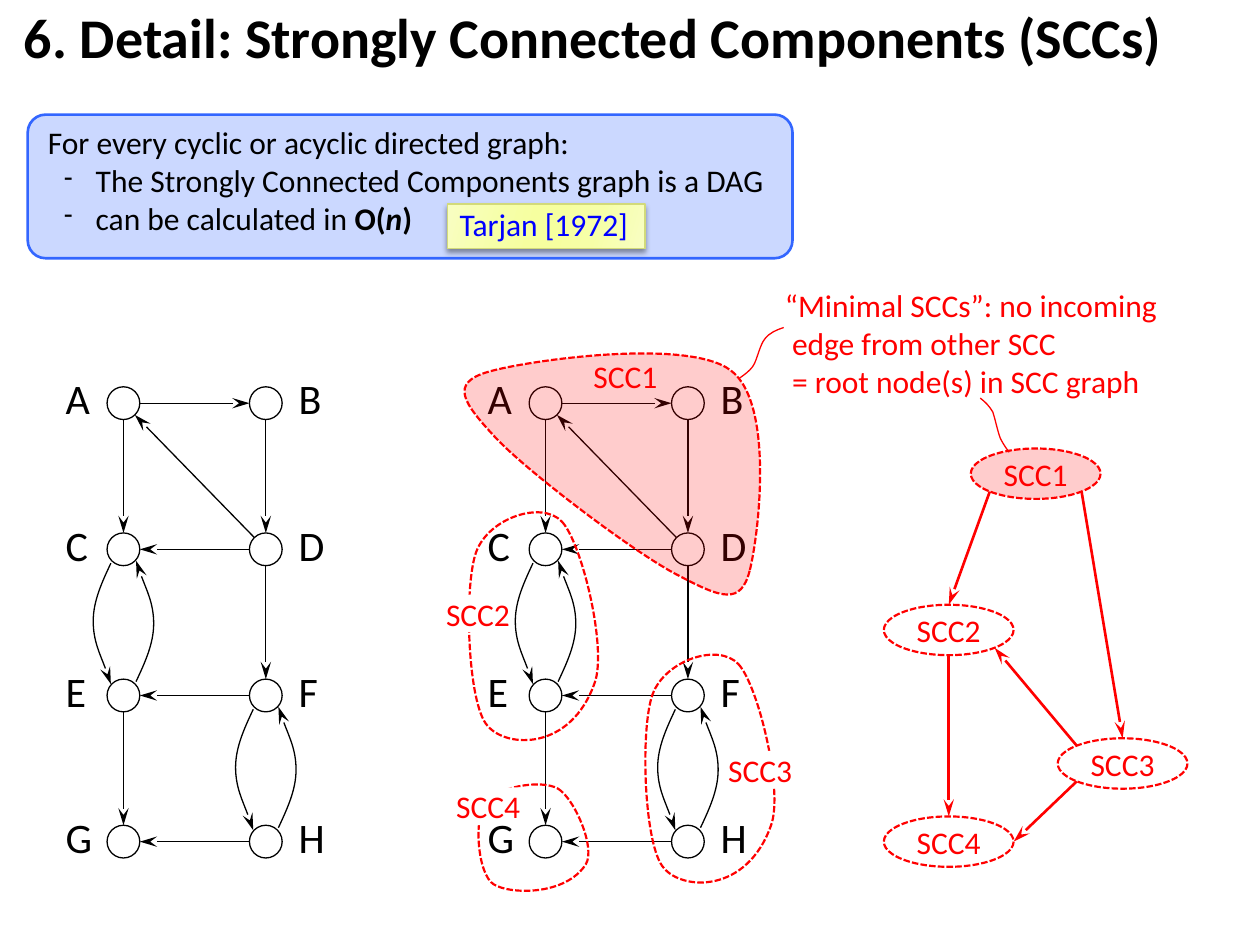
from dataclasses import dataclass
from itertools import product
from math import cos, hypot, radians, sin

from lxml import etree
from pptx import Presentation
from pptx.dml.color import RGBColor
from pptx.enum import dml, shapes, text
from pptx.oxml import ns
from pptx.util import Inches, Pt

BLACK = RGBColor(0, 0, 0)
WHITE = RGBColor(255, 255, 255)
RED = RGBColor(255, 0, 0)
BLUE = RGBColor(0x33, 0x66, 0xFF)
LINK = RGBColor(0, 0, 255)
OLIVE = RGBColor(0xD2, 0xDA, 0x7A)
FONT = "Calibri"
RADIUS = 0.13
OVAL_W, OVAL_H = 1.03, 0.4
STEP = 1.16  # between graph rows
Point = tuple[float, float]


@dataclass
class Oval:
    x: float  # centre
    y: float

    def site(self, angle: float) -> Point:
        turn = radians(angle)
        return self.x + OVAL_W / 2 * cos(turn), self.y + OVAL_H / 2 * sin(turn)


@dataclass
class Tag:
    name: str
    x: float
    y: float
    filled: bool = True


def add(parent, tag: str, **attrs: str):
    return etree.SubElement(parent, ns.qn(tag), attrs)


def fade(shape, percent: int) -> None:
    color = shape.element.xpath("./p:spPr/a:solidFill/a:srgbClr")[0]
    add(color, "a:alpha", val=str(percent * 1000))


def stroke(shape, color: RGBColor, width: float, dash=False, arrow=False) -> None:
    shape.line.color.rgb = color
    shape.line.width = Pt(width)
    if dash:
        shape.line.dash_style = dml.MSO_LINE.SQUARE_DOT
    if arrow:
        line = shape.element.xpath("./p:spPr/a:ln")[0]
        add(line, "a:tailEnd", type="stealth", w="med", len="lg")


def style(par, size: float, color: RGBColor, bold=None) -> None:
    par.font.name, par.font.size = FONT, Pt(size)
    par.font.color.rgb, par.font.bold = color, bold


def inset(frame, side: float = 0, top: float = 0, low: float = 0) -> None:
    frame.margin_left = frame.margin_right = Inches(side)
    frame.margin_top, frame.margin_bottom = Inches(top), Inches(low)


def write(slide, words: str, box: tuple, size: float, color: RGBColor, wrap=False):
    shape = slide.shapes.add_textbox(*map(Inches, box))
    frame = shape.text_frame
    frame.word_wrap = wrap
    inset(frame)
    frame.text = words
    for par in frame.paragraphs:
        style(par, size, color)
    return shape


def form(slide, kind, box: tuple, fill: RGBColor | None):
    shape = slide.shapes.add_shape(kind, *map(Inches, box))
    shape.shadow.inherit = False
    if fill is None:
        shape.fill.background()
    else:
        shape.fill.solid()
        shape.fill.fore_color.rgb = fill
    return shape


def arrow(slide, start: Point, end: Point, color: RGBColor, width: float) -> None:
    line = slide.shapes.add_connector(
        shapes.MSO_CONNECTOR.STRAIGHT, *map(Inches, start + end))
    stroke(line, color, width, arrow=True)
    add(line.element.spPr, "a:effectLst")


def curve(slide, points: list[Point], close=False, dx: float = 0, dy: float = 0):
    """Draw cubic curves: a start, then two controls and an end for each."""
    first, *rest = [(Inches(x + dx), Inches(y + dy)) for x, y in points]
    build = slide.shapes.build_freeform(*first)
    build.add_line_segments(rest, close=close)
    shape = build.convert_to_shape()
    shape.shadow.inherit = False
    shape.fill.background()
    outline = shape.element.xpath(".//a:path")[0]
    for i, leg in enumerate(outline.findall(ns.qn("a:lnTo"))):
        if i % 3 == 0:
            cubic = add(outline, "a:cubicBezTo")
            leg.addprevious(cubic)
        cubic.append(leg[0])
        outline.remove(leg)
    return shape


# Directed graph: two columns, four rows
EDGES = ["AB", "AC", "BD", "DA", "DC", "DF", "FE", "EG", "HG"]
LOOPS = ["CE", "FH"]
BEND = [(-0.1, 0.11), (-0.17, 0.26), (-0.24, 0.41), (-0.24, 0.57),
        (-0.24, 0.73), (-0.12, 0.99), (-0.1, 1.07)]


def graph(slide, left: float) -> None:
    nodes = {}
    for name, (row, col) in zip("ABCDEFGH", product(range(4), range(2))):
        x, y = nodes[name] = left + 1.13 * col, 3.2 + STEP * row
        side = 0.26 if col else -0.46
        write(slide, name, (x + side, y - 0.24, 0.22, 0.4), 24, BLACK)
        ring = form(slide, shapes.MSO_SHAPE.OVAL,
                    (x - RADIUS, y - RADIUS, 2 * RADIUS, 2 * RADIUS), WHITE)
        stroke(ring, BLACK, 0.75)
    for a, b in EDGES:
        (ax, ay), (bx, by) = nodes[a], nodes[b]
        part = RADIUS / hypot(bx - ax, by - ay)
        px, py = (bx - ax) * part, (by - ay) * part
        arrow(slide, (ax + px, ay + py), (bx - px, by - py), BLACK, 0.75)
    back = [(-x, STEP - y) for x, y in BEND]
    for (top, _), bend in product(LOOPS, (BEND, back)):
        x, y = nodes[top]
        stroke(curve(slide, bend, dx=x, dy=y), BLACK, 0.75, arrow=True)


# Outlines of the components
ZONE1 = [(5.95, 4.53), (5.88, 4.8), (5.73, 4.75), (5.39, 4.57), (5.05, 4.4),
         (4.18, 3.74), (3.93, 3.47), (3.68, 3.2), (3.56, 3.04), (3.88, 2.95),
         (4.19, 2.86), (5.46, 2.68), (5.8, 2.94), (6.15, 3.2), (6.02, 4.26),
         (5.95, 4.53)]
ZONE3 = [(5.86, 5.27), (6.02, 5.44), (6.22, 6.28), (6.12, 6.55), (5.93, 7.09),
         (5.42, 7.07), (5.27, 6.89), (5.11, 6.72), (5.08, 5.78), (5.18, 5.51),
         (5.28, 5.24), (5.7, 5.1), (5.86, 5.27)]
ZONE4 = [(4.43, 6.26), (4.56, 6.34), (4.73, 6.73), (4.65, 6.86), (4.49, 7.11),
         (4.05, 7.1), (3.92, 7.02), (3.79, 6.94), (3.76, 6.5), (3.85, 6.38),
         (3.93, 6.25), (4.29, 6.18), (4.43, 6.26)]
TAGS = [Tag("SCC1", 4.71, 2.83, False), Tag("SCC2", 3.54, 4.72),
        Tag("SCC4", 3.62, 6.25), Tag("SCC3", 5.78, 5.96)]
LEADS = [[(6.22, 2.6), (6.16, 2.62), (6.11, 2.64), (6.07, 2.69), (6.03, 2.74),
          (6.01, 2.85), (5.98, 2.9), (5.95, 2.95), (5.87, 3), (5.87, 3)],
         [(7.78, 3.16), (7.82, 3.19), (7.85, 3.22), (7.88, 3.27), (7.9, 3.33),
          (7.92, 3.43), (7.94, 3.48), (7.97, 3.54), (8.01, 3.59), (8.01, 3.59)]]


def zones(slide) -> None:
    for points, dx, dy in [(ZONE1, 0, 0), (ZONE3, 0, 0),
                           (ZONE3, -1.4, -1.13), (ZONE4, 0, 0)]:
        zone = curve(slide, points, True, dx, dy)
        if points is ZONE1:
            zone.fill.solid()
            zone.fill.fore_color.rgb = RED
            fade(zone, 20)
        stroke(zone, RED, 1.25, dash=True)
    for tag in TAGS:
        box = write(slide, tag.name, (tag.x, tag.y, 0.51, 0.3), 18, RED)
        if tag.filled:
            box.fill.solid()
            box.fill.fore_color.rgb = WHITE
    for lead in LEADS:
        stroke(curve(slide, lead), RED, 0.75)


# Graph of components; angles run clockwise from the right
OVALS = {"SCC1": Oval(8.22, 3.76), "SCC2": Oval(7.53, 5),
         "SCC3": Oval(8.91, 6.06), "SCC4": Oval(7.53, 6.68)}
LINKS = [("SCC1", 135, "SCC2", 270), ("SCC1", 45, "SCC3", 270),
         ("SCC3", 225, "SCC2", 45), ("SCC2", 90, "SCC4", 270),
         ("SCC3", 135, "SCC4", 0)]


def dag(slide) -> None:
    for name, oval in OVALS.items():
        root = name == "SCC1"
        box = oval.x - OVAL_W / 2, oval.y - OVAL_H / 2, OVAL_W, OVAL_H
        shape = form(slide, shapes.MSO_SHAPE.OVAL, box, RED if root else None)
        if root:
            fade(shape, 20)
        stroke(shape, RED, 1.25, dash=True)
        frame = shape.text_frame
        inset(frame)
        frame.text = name
        frame.paragraphs[0].alignment = text.PP_ALIGN.CENTER
        style(frame.paragraphs[0], 18, RED)
    for a, out, b, into in LINKS:
        arrow(slide, OVALS[a].site(out), OVALS[b].site(into), RED, 1.5)


def facts(slide) -> None:
    panel = form(slide, shapes.MSO_SHAPE.ROUNDED_RECTANGLE, (0.22, 0.91, 6.07, 1.14), BLUE)
    panel.adjustments[0] = 0.125
    fade(panel, 25)
    stroke(panel, BLUE, 1.5)
    words = ("For every cyclic or acyclic directed graph:\n"
             "The Strongly Connected Components graph is a DAG\n"
             "can be calculated in ")
    pars = write(slide, words, (0.38, 0.98, 5.74, 0.91), 18, BLACK).text_frame.paragraphs
    for par in pars[1:]:
        props = par._p.get_or_add_pPr()
        props.set("marL", str(Inches(0.38)))
        props.set("indent", str(Inches(-0.25)))
        for i, (tag, key, val) in enumerate([("a:buSzPct", "val", "80000"),
                                             ("a:buChar", "char", "-")]):
            props.insert(i, add(props, tag, **{key: val}))
    for part in ("O(", "n", ")"):
        run = pars[2].add_run()
        run.text = part
        run.font.bold, run.font.italic = True, part == "n"


def source(slide) -> None:
    note = form(slide, shapes.MSO_SHAPE.RECTANGLE, (3.55, 1.62, 1.57, 0.35), WHITE)
    note.fill.gradient()
    note.fill.gradient_angle = 344
    stops = note.element.xpath(".//a:gsLst")[0]
    stops[:] = []
    for at, color in [(0, "F8FEC2"), (30, "F6FFA7"), (45, "F6FF9F"),
                      (55, "F6FF9F"), (73, "F6FFA7"), (100, "F8FEC2")]:
        add(add(stops, "a:gs", pos=str(at * 1000)), "a:srgbClr", val=color)
    stroke(note, OLIVE, 0.75)
    shade = add(note.element.xpath("./p:spPr/a:effectLst")[0], "a:outerShdw",
                blurRad=str(Pt(3)), dist=str(Pt(2)), dir="5400000", rotWithShape="0")
    add(add(shade, "a:srgbClr", val="000000"), "a:alpha", val="40000")
    frame = note.text_frame
    frame.word_wrap = False
    frame.vertical_anchor = text.MSO_ANCHOR.TOP
    inset(frame, 0.1, 0.01, 0.03)
    frame.text = "Tarjan [1972]"
    frame.paragraphs[0].alignment = text.PP_ALIGN.LEFT
    style(frame.paragraphs[0], 18, LINK)


def main() -> None:
    deck = Presentation()
    deck.slide_width, deck.slide_height = Inches(10), Inches(7.5)
    slide = deck.slides.add_slide(deck.slide_layouts[5])
    # Title
    title = slide.shapes.title
    title.left, title.top, title.width, title.height = map(Inches, (0.19, 0.02, 9.14, 0.54))
    frame = title.text_frame
    frame.text = "6. Detail: Strongly Connected Components (SCCs)"
    frame.word_wrap, frame.auto_size = False, text.MSO_AUTO_SIZE.NONE
    frame.vertical_anchor = text.MSO_ANCHOR.TOP
    inset(frame)
    frame.paragraphs[0].alignment = text.PP_ALIGN.LEFT
    style(frame.paragraphs[0], 32, BLACK, True)
    # Body
    write(slide, "“Minimal SCCs”: no incoming\v edge from other SCC\v = root node(s) in SCC graph",
          (6.23, 2.27, 3.13, 0.91), 18, RED, wrap=True)
    for left in (4.33, 0.98):
        graph(slide, left)
    zones(slide)
    dag(slide)
    facts(slide)
    source(slide)
    deck.save("out.pptx")


if __name__ == "__main__":
    main()
